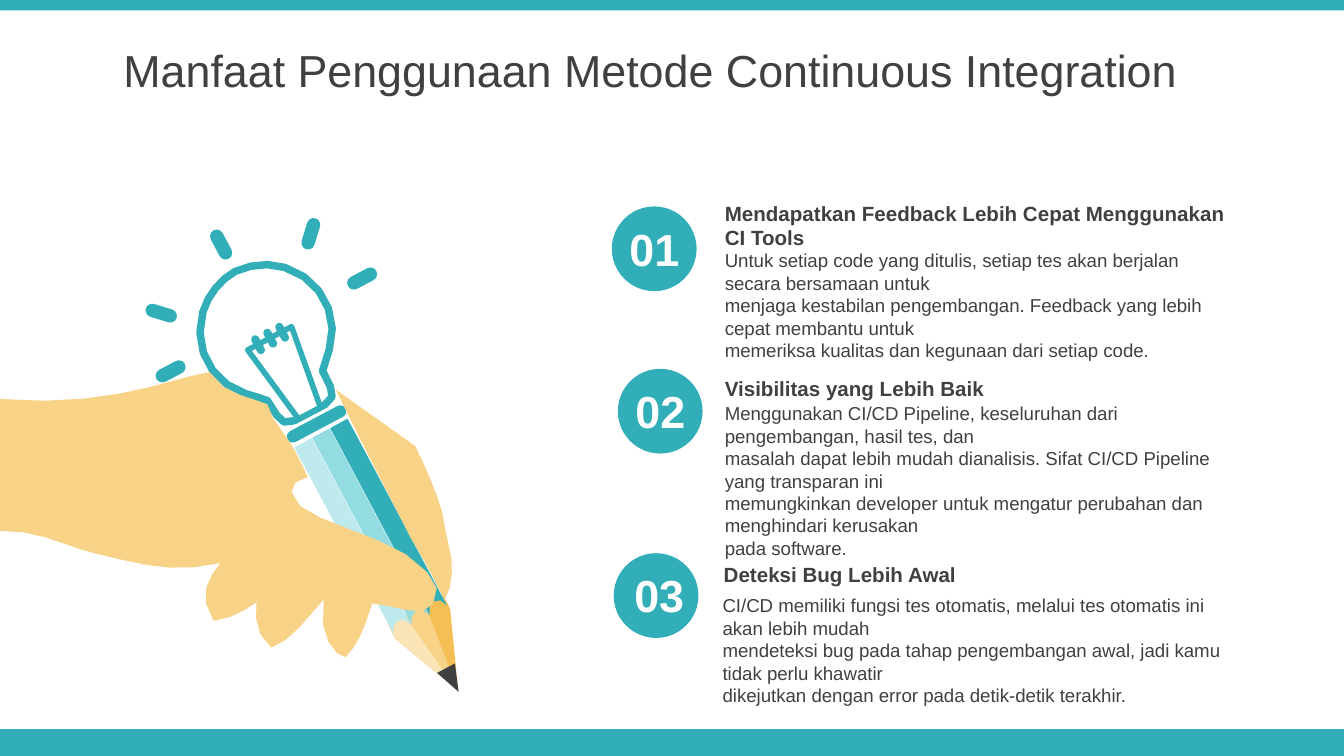
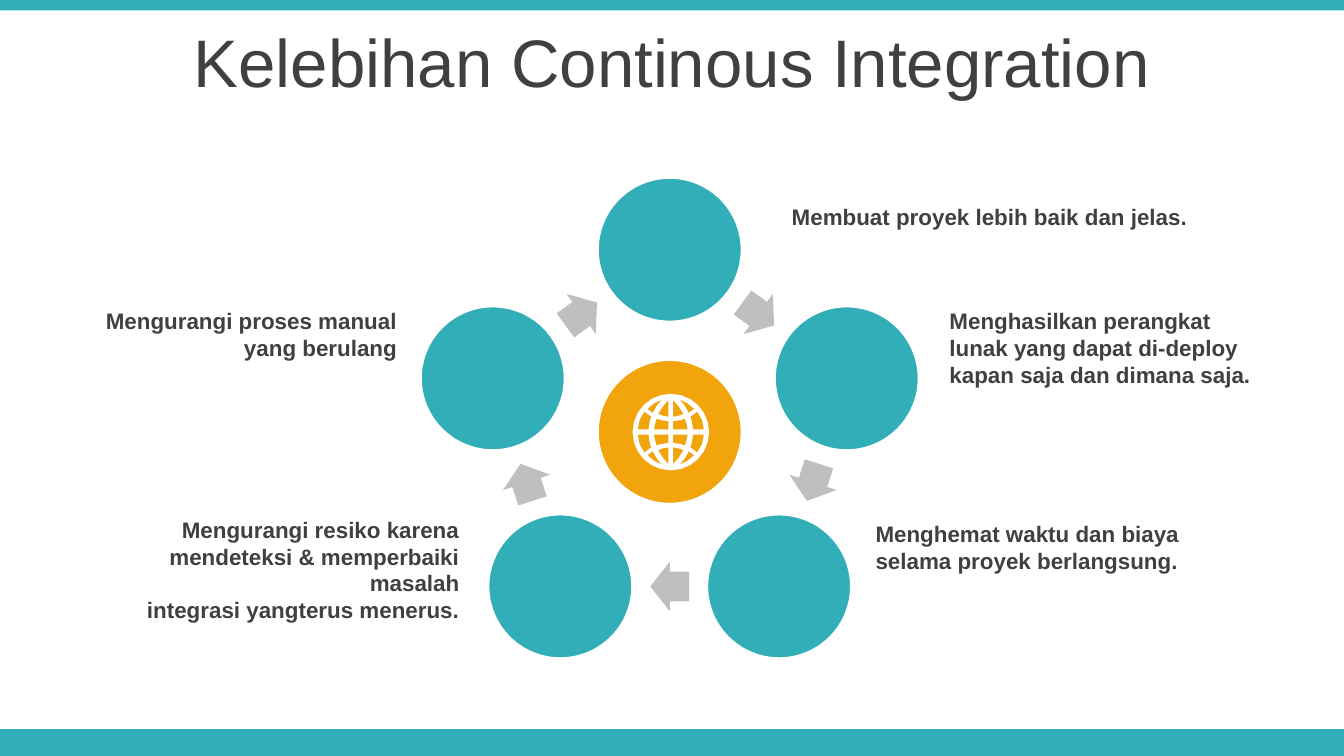
"""Build two slides on the benefits and strengths of Continuous Integration."""
import math

import pptx
import pptx.dml.color
import pptx.enum.shapes
import pptx.enum.text
import pptx.util

Pt = pptx.util.Pt
RGBColor = pptx.dml.color.RGBColor
SHAPE = pptx.enum.shapes.MSO_SHAPE
ALIGN = pptx.enum.text.PP_ALIGN
ANCHOR = pptx.enum.text.MSO_ANCHOR
AUTO = pptx.enum.text.MSO_AUTO_SIZE

TEAL = RGBColor(0x32, 0xAE, 0xB8)
TEAL_MID = RGBColor(0x92, 0xDC, 0xE2)
TEAL_LIGHT = RGBColor(0xBE, 0xEA, 0xED)
SKIN = RGBColor(0xF8, 0xD2, 0x86)
WOOD = RGBColor(0xF6, 0xBF, 0x56)
WOOD_LIGHT = RGBColor(0xFB, 0xE4, 0xB6)
ORANGE = RGBColor(0xF2, 0xA4, 0x0D)
GREY = RGBColor(0xBF, 0xBF, 0xBF)
DARK = RGBColor(0x40, 0x40, 0x40)
WHITE = RGBColor(0xFF, 0xFF, 0xFF)

FONT = "Arial"
WIDTH, HEIGHT = 720, 405
BANDS = [(0, 390.6, WIDTH, 14.4), (0, 0, WIDTH, 5.6)]

BENEFITS_TITLE = "Manfaat Penggunaan Metode Continuous Integration"
BENEFITS = [
    {
        "number": ("01", 325.4, 115.2),
        "circle": (327.8, 110.6),
        "heading": ("Mendapatkan Feedback Lebih Cepat Menggunakan CI Tools", 381.2, 104, 34),
        "body": ([
            "Untuk setiap code yang ditulis, setiap tes akan berjalan secara bersamaan untuk",
            "menjaga kestabilan pengembangan. Feedback yang lebih cepat membantu untuk",
            "memeriksa kualitas dan kegunaan dari setiap code.",
        ], 381.2, 130, 68),
    },
    {
        "number": ("02", 328.6, 202),
        "circle": (331, 197.6),
        "heading": ("Visibilitas yang Lebih Baik", 381.2, 197.9, 17),
        "body": ([
            "Menggunakan CI/CD Pipeline, keseluruhan dari pengembangan, hasil tes, dan",
            "masalah dapat lebih mudah dianalisis. Sifat CI/CD Pipeline yang transparan ini",
            "memungkinkan developer untuk mengatur perubahan dan menghindari kerusakan",
            "pada software.",
        ], 381.2, 211.9, 88),
    },
    {
        "number": ("03", 328, 300.8),
        "circle": (328.8, 296.4),
        "heading": ("Deteksi Bug Lebih Awal", 380.6, 297.6, 21),
        "body": ([
            "CI/CD memiliki fungsi tes otomatis, melalui tes otomatis ini akan lebih mudah",
            "mendeteksi bug pada tahap pengembangan awal, jadi kamu tidak perlu khawatir",
            "dikejutkan dengan error pada detik-detik terakhir.",
        ], 380, 314.8, 68),
    },
]
BADGE = 45.4
TEXT_WIDTH = 289.4

STRENGTHS_TITLE = "Kelebihan Continous Integration"
STRENGTHS = [
    (["Membuat proyek lebih baik dan jelas."], (417.1, 105.2, 266, 22), ALIGN.LEFT),
    (["Menghasilkan perangkat lunak yang dapat di-deploy kapan saja dan dimana saja."],
     (501.6, 161, 183, 51), ALIGN.LEFT),
    (["Menghemat waktu dan biaya selama proyek berlangsung."],
     (462, 275, 183, 36), ALIGN.LEFT),
    (["Mengurangi resiko karena mendeteksi & memperbaiki masalah",
      "integrasi yangterus menerus."], (70.2, 272.8, 183, 66), ALIGN.RIGHT),
    (["Mengurangi proses manual yang berulang"], (36.8, 161, 183, 36), ALIGN.RIGHT),
]
CYCLE_CENTER, CYCLE_RADIUS = (358.8, 233.5), 99.7
NODE = 78
ARROW = (20.9, 26.6)
HUB_CENTER = (358.8, 231.4)

# Outlines are point lists: a pair is a straight step, six values are a cubic curve.
WOOD_OUTLINE = [(208.1, 334.8), (237.6, 319), (241.2, 326.2), (245.5, 370.1), (211.7, 342)]
WOOD_MID_OUTLINE = [(217.4, 329), (227.5, 324), (229.7, 329), (245.5, 370.1), (221, 336.2)]
WOOD_LIGHT_OUTLINE = [(208.1, 334.8), (217.4, 329.8), (220.3, 334.8), (244.8, 369.4),
                      (211.7, 342)]
STRIPE = [(157.7, 239.8), (167, 234.7), (220.3, 334.8),
          (218.2, 331.9, 215.3, 331.2, 213.1, 332.6),
          (211, 333.4, 210.2, 337, 211, 339.8)]
STRIPE_STEP = (9.6, -5.2)
BULB = [(126, 145.4), (133.9, 141.8, 143.3, 140.4, 152.6, 143.3),
        (171.4, 149, 182.2, 168.5, 176.4, 187.2), (172.8, 198.7), (177.1, 207.4),
        (179.3, 211, 177.8, 214.6, 174.2, 216.7), (157.7, 225.4),
        (154.1, 227.5, 149.8, 226.1, 148.3, 222.5), (143.3, 214.6),
        (139.7, 213.1, 136.1, 212.4, 131.8, 211), (113, 205.2, 103, 185.8, 108.7, 167),
        (111.6, 157.7, 118.1, 149.8, 126, 145.4)]
PALM = [(180, 208.8), (222.5, 239), (228.2, 250.6, 234, 264.2, 236.9, 274.3),
        (238.3, 284.4, 240.5, 291.6, 241.9, 299.5), (242.6, 306.7, 241.9, 316.1, 238.3, 321.1),
        (234.7, 316.1, 231.8, 306.7, 220.3, 288.7), (211, 270, 190.1, 230.4, 180, 208.8)]
FINGERS = [(112.3, 199.4), (120.2, 212.4, 136.8, 213.1, 143.3, 216.7),
           (144, 223.2, 153.4, 233.3, 156.2, 238.3), (159.8, 244.8, 162, 249.1, 164.9, 255.6),
           (159.8, 257, 155.5, 259.2, 156.2, 263.5), (157.7, 280.8, 211, 284.4, 229, 306.7),
           (238.3, 313.9, 233.3, 326.9, 226.1, 327.6), (216, 327.6, 212.4, 324.7, 199.4, 323.3),
           (195.1, 337.7, 190.8, 347, 185, 352.1), (180, 351.4, 169.9, 341.3, 173.5, 321.1),
           (166.3, 329, 155.5, 344.2, 145.4, 347), (137.5, 341.3, 136.1, 330.5, 137.5, 322.6),
           (131.8, 326.9, 123.1, 331.9, 114.5, 332.6), (105.1, 319, 112.3, 308.9, 118.1, 301.7),
           (92.2, 307.4, 76.3, 302.4, 54.7, 297.4), (38.2, 294.5, 22.3, 283.7, 0, 284.4),
           (0, 213.8), (59.8, 218.9, 94.3, 201.6, 112.3, 199.4)]
BARS = [(162.9, 116.6, 7.2, 17.3, 17), (82.8, 159.1, 7.2, 17.3, 287),
        (114.9, 122.4, 7.2, 17.3, 332), (190.4, 140.6, 7.2, 17.3, 62),
        (87.8, 190.3, 7.2, 17.3, 242), (152, 223.9, 35.3, 6.5, 332),
        (136.1, 179.3, 4.3, 10.8, 332), (142.6, 175.8, 4.3, 10.8, 332),
        (149, 172.6, 4.3, 10.8, 332)]
GLOBE_CENTER, GLOBE_RADIUS = (359.4, 231.5), 20.5
GLOBE_WINDOWS = [
    [(9.7, 10.2), (8.3, 13.1, 6.8, 15.3, 4.7, 17.4), (7.6, 16.7, 10.4, 14.6, 12.6, 12.4)],
    [(1.3, 8.2), (1.3, 17.2), (3.4, 15, 5.4, 12.5, 6.8, 9.7), (5, 8.8, 3.2, 8.3, 1.3, 8.2)],
    [(11.9, 1.4), (11.7, 4, 11.2, 6.2, 10.5, 8.3), (14.2, 11),
     (16.4, 8.3, 17.6, 5, 17.7, 1.4)],
    [(1.3, 1.4), (1.3, 5.9), (3.4, 5.9, 5.5, 6.3, 7.6, 7.2), (8.3, 5.2, 8.8, 3.4, 9, 1.4)],
]


def apply(obj, formats):
    """Set each named attribute on an object."""
    for name, value in formats.items():
        setattr(obj, name, value)


def paint(sp, fill, line=None, weight=1):
    """Give a shape a flat fill and an optional outline."""
    sp.shadow.inherit = False
    sp.fill.solid()
    sp.fill.fore_color.rgb = fill
    if line is None:
        sp.line.fill.background()
    else:
        sp.line.color.rgb = line
        sp.line.width = Pt(weight)
    return sp


def add_preset(shapes, kind, box, fill, rotation=0, **outline):
    """Add a painted preset shape."""
    sp = shapes.add_shape(kind, *map(Pt, box))
    sp.rotation = rotation
    return paint(sp, fill, **outline)


def flatten(outline):
    """Turn straight and curved steps into points, with more on longer curves."""
    points = []
    for step in outline:
        if len(step) == 2:
            points.append(step)
            continue
        controls = [points[-1], step[:2], step[2:4], step[4:]]
        pieces = max(2, round(math.sqrt(math.dist(controls[0], controls[3])) / 1.5))
        for i in range(1, pieces + 1):
            t = i / pieces
            weights = [math.comb(3, k) * t ** k * (1 - t) ** (3 - k) for k in range(4)]
            points.append(tuple(sum(w * c[axis] for w, c in zip(weights, controls))
                                for axis in (0, 1)))
    if math.dist(points[0], points[-1]) < 0.01:
        points.pop()
    return points


def add_outline(shapes, contours, fill, **outline):
    """Add one freeform made of closed contours of points."""
    builder = None
    for contour in contours:
        points = [(Pt(x), Pt(y)) for x, y in contour]
        if builder is None:
            builder = shapes.build_freeform(*points[0])
        else:
            builder.move_to(*points[0])
        builder.add_line_segments(points[1:], close=True)
    return paint(builder.convert_to_shape(), fill, **outline)


def shift(points, dx, dy, sx=1, sy=1):
    """Mirror and move points."""
    return [(dx + sx * x, dy + sy * y) for x, y in points]


def add_text(s, lines, box, size, bold=False, color=DARK, align=ALIGN.LEFT):
    """Add a wrapped text box with one paragraph for each line."""
    tf = s.shapes.add_textbox(*map(Pt, box)).text_frame
    tf.word_wrap = True
    for i, line in enumerate(lines):
        p = tf.paragraphs[0] if i == 0 else tf.add_paragraph()
        p.alignment = align
        r = p.add_run()
        r.text = line
        apply(r.font, {"name": FONT, "size": Pt(size), "bold": bold})
        r.font.color.rgb = color


def add_slide(prs, title, size, **margins):
    """Add a slide with its formatted title."""
    s = prs.slides.add_slide(prs.slide_layouts[5])
    sp = s.shapes.title
    apply(sp, {"left": Pt(0), "top": Pt(10), "width": Pt(WIDTH), "height": Pt(45.4)})
    tf = sp.text_frame
    tf.text = title
    apply(tf, {"vertical_anchor": ANCHOR.MIDDLE, "auto_size": AUTO.NONE, "word_wrap": True})
    apply(tf, margins)
    p = tf.paragraphs[0]
    apply(p, {"alignment": ALIGN.CENTER, "space_before": Pt(4)})
    apply(p.font, {"name": FONT, "size": Pt(size), "bold": False})
    p.font.color.rgb = DARK
    return s


def add_bands(prs, s):
    """Place the shared bands on the layout behind its placeholders."""
    tree = prs.slide_layouts[5].shapes.element
    for box in BANDS:
        tree.insert(2, add_preset(s.shapes, SHAPE.RECTANGLE, box, TEAL).element)


def draw_pencil(s):
    """Draw the bulb-topped pencil and the hand that holds it."""
    shapes = s.shapes.add_group_shape().shapes
    for outline, fill in ((WOOD_OUTLINE, WOOD), (WOOD_MID_OUTLINE, SKIN),
                          (WOOD_LIGHT_OUTLINE, WOOD_LIGHT)):
        add_outline(shapes, [outline], fill)
    for i, fill in enumerate((TEAL_LIGHT, TEAL_MID, TEAL)):
        dx, dy = (i * step for step in STRIPE_STEP)
        add_outline(shapes, [shift(flatten(STRIPE), dx, dy)], fill)
    add_preset(shapes, SHAPE.ISOSCELES_TRIANGLE, (236.9, 357.1, 10.8, 14.4), DARK, 152)
    add_outline(shapes, [flatten(BULB)], WHITE, line=TEAL, weight=4)
    add_preset(shapes, SHAPE.TRAPEZOID, (141.8, 178.6, 26.6, 45.4), WHITE, 152,
               line=TEAL, weight=3)
    for *box, rotation in BARS:
        bar = add_preset(shapes, SHAPE.ROUNDED_RECTANGLE, box, TEAL, rotation)
        bar.adjustments[0] = 0.5
    add_outline(s.shapes, [flatten(PALM), flatten(FINGERS)], SKIN)


def draw_benefits(s):
    """Draw the numbered benefits."""
    for item in BENEFITS:
        add_preset(s.shapes, SHAPE.OVAL, (*item["circle"], BADGE, BADGE), TEAL)
        lines, x, y, h = item["body"]
        add_text(s, lines, (x, y, TEXT_WIDTH, h), 10)
        heading, x, y, h = item["heading"]
        add_text(s, [heading], (x, y, TEXT_WIDTH, h), 11, bold=True)
        number, x, y = item["number"]
        add_text(s, [number], (x, y, 50.4, 36), 24, True, WHITE, ALIGN.CENTER)


def draw_cycle(s):
    """Draw the ring of strengths around the globe."""
    def centered(angle, radius, w, h):
        x = CYCLE_CENTER[0] + radius * math.sin(math.radians(angle))
        y = CYCLE_CENTER[1] - radius * math.cos(math.radians(angle))
        return x - w / 2, y - h / 2, w, h

    step = 360 / len(STRENGTHS)
    apothem = CYCLE_RADIUS * math.cos(math.radians(step / 2))
    for i, (lines, box, align) in enumerate(STRENGTHS):
        add_preset(s.shapes, SHAPE.OVAL, centered(i * step, CYCLE_RADIUS, NODE, NODE),
                   TEAL, line=WHITE, weight=2)
        turn = (i + 0.5) * step
        arrow = add_preset(s.shapes, SHAPE.RIGHT_ARROW, centered(turn, apothem, *ARROW),
                           GREY, turn)
        arrow.adjustments[0] = 0.6
        add_text(s, lines, box, 12, bold=True, align=align)
    x, y = (c - NODE / 2 for c in HUB_CENTER)
    add_preset(s.shapes, SHAPE.OVAL, (x, y, NODE, NODE), ORANGE, line=WHITE, weight=2)
    rim = [(GLOBE_RADIUS * math.cos(math.radians(a)), GLOBE_RADIUS * math.sin(math.radians(a)))
           for a in range(0, 360, 15)]
    contours = [shift(rim, *GLOBE_CENTER)]
    contours += [shift(flatten(window), *GLOBE_CENTER, sx, sy)
                 for window in GLOBE_WINDOWS for sx in (1, -1) for sy in (1, -1)]
    add_outline(s.shapes, contours, WHITE)


def main():
    """Build and save the presentation."""
    prs = pptx.Presentation()
    apply(prs, {"slide_width": Pt(WIDTH), "slide_height": Pt(HEIGHT)})
    s = add_slide(prs, BENEFITS_TITLE, 24, margin_right=Pt(30.6), margin_top=Pt(13))
    add_bands(prs, s)
    draw_pencil(s)
    draw_benefits(s)
    draw_cycle(add_slide(prs, STRENGTHS_TITLE, 36))
    prs.save("out.pptx")


if __name__ == "__main__":
    main()
